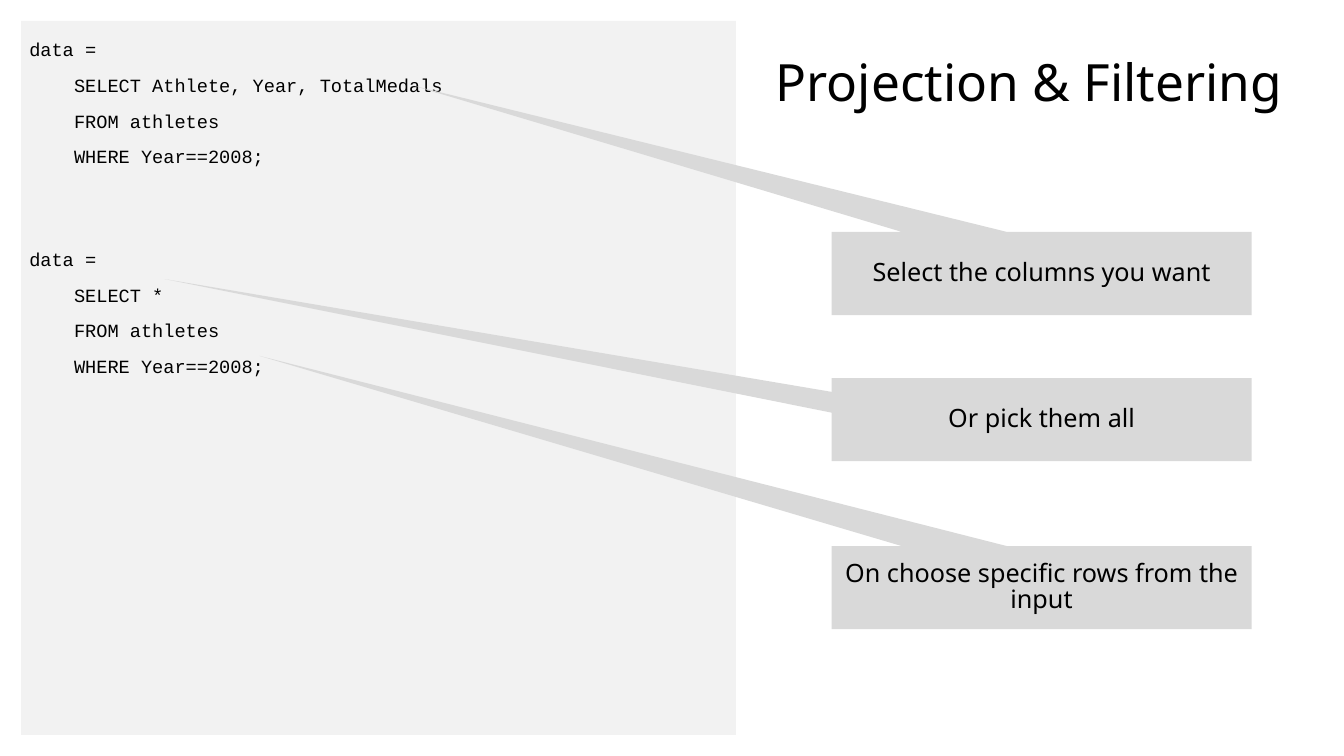
from pptx import Presentation
from pptx.dml.color import RGBColor
from pptx.enum.shapes import MSO_SHAPE
from pptx.enum.text import MSO_ANCHOR, PP_ALIGN
from pptx.util import Inches, Pt

RECTANGLE = MSO_SHAPE.RECTANGLE
CALLOUT = MSO_SHAPE.RECTANGULAR_CALLOUT
TOP, MIDDLE = MSO_ANCHOR.TOP, MSO_ANCHOR.MIDDLE
LEFT, CENTER = PP_ALIGN.LEFT, PP_ALIGN.CENTER

COLORS = {"panel": "F2F2F2", "callout": "D9D9D9", "text": "000000"}
CODE_FONT, TEXT_FONT = "Courier New", "Noto Sans"
MARGIN = 0.25
PANEL_WIDTH = 8.51
CALLOUT_LEFT, CALLOUT_WIDTH, CALLOUT_HEIGHT = 9.9, 5, 0.99
CODE_INDENT = Pt(38.4)
QUERY_GAP = Pt(57.6)

QUERIES = [
    ["SELECT Athlete, Year, TotalMedals", "FROM athletes", "WHERE Year==2008;"],
    ["SELECT *", "FROM athletes", "WHERE Year==2008;"],
]
# Top edge, pointer tip relative to the box, text
CALLOUTS = [
    (2.76, (-1.496, -2.258), "Select the columns you want"),
    (4.5, (-2.088, -1.69), "Or pick them all"),
    (6.5, (-1.862, -2.786), "On choose specific rows from the input"),
]


def add_filled_shape(slide, kind, box, color, anchor):
    shape = slide.shapes.add_shape(kind, *map(Inches, box))
    shape.shadow.inherit = False
    shape.fill.solid()
    shape.fill.fore_color.rgb = RGBColor.from_string(COLORS[color])
    shape.line.fill.background()
    shape.text_frame.word_wrap = True
    shape.text_frame.vertical_anchor = anchor
    return shape


def style_paragraph(paragraph, text, font, size, alignment, line_spacing):
    paragraph.text = text
    paragraph.alignment = alignment
    paragraph.line_spacing = line_spacing
    paragraph.font.name = font
    paragraph.font.size = Pt(size)
    paragraph.font.color.rgb = RGBColor.from_string(COLORS["text"])


def add_code_panel(slide):
    box = (MARGIN, MARGIN, PANEL_WIDTH, 9 - 2 * MARGIN)
    frame = add_filled_shape(slide, RECTANGLE, box, "panel", TOP).text_frame
    paragraph = frame.paragraphs[0]
    for query_number, clauses in enumerate(QUERIES):
        if query_number:
            paragraph = frame.add_paragraph()
            paragraph.space_before = QUERY_GAP
        style_paragraph(paragraph, "data =", CODE_FONT, 16, LEFT, 1.59)
        for clause in clauses:
            paragraph = frame.add_paragraph()
            style_paragraph(paragraph, clause, CODE_FONT, 16, LEFT, 1.59)
            paragraph._p.get_or_add_pPr().set("marL", str(CODE_INDENT))


def add_title(slide, text):
    box = (8.75, MARGIN, 7, 1.53)
    frame = slide.shapes.add_textbox(*map(Inches, box)).text_frame
    frame.word_wrap = True
    frame.vertical_anchor = MIDDLE
    style_paragraph(frame.paragraphs[0], text, TEXT_FONT, 44, CENTER, 0.9)


def add_callout(slide, top, tip, text):
    box = (CALLOUT_LEFT, top, CALLOUT_WIDTH, CALLOUT_HEIGHT)
    shape = add_filled_shape(slide, CALLOUT, box, "callout", MIDDLE)
    shape.adjustments[0], shape.adjustments[1] = tip
    style_paragraph(shape.text_frame.paragraphs[0], text, TEXT_FONT, 21.6, CENTER, 0.88)


def main():
    presentation = Presentation()
    presentation.slide_width, presentation.slide_height = Inches(16), Inches(9)
    slide = presentation.slides.add_slide(presentation.slide_layouts[6])
    add_code_panel(slide)
    add_title(slide, "Projection & Filtering")
    for top, tip, text in CALLOUTS:
        add_callout(slide, top, tip, text)
    presentation.save("out.pptx")


if __name__ == "__main__":
    main()
